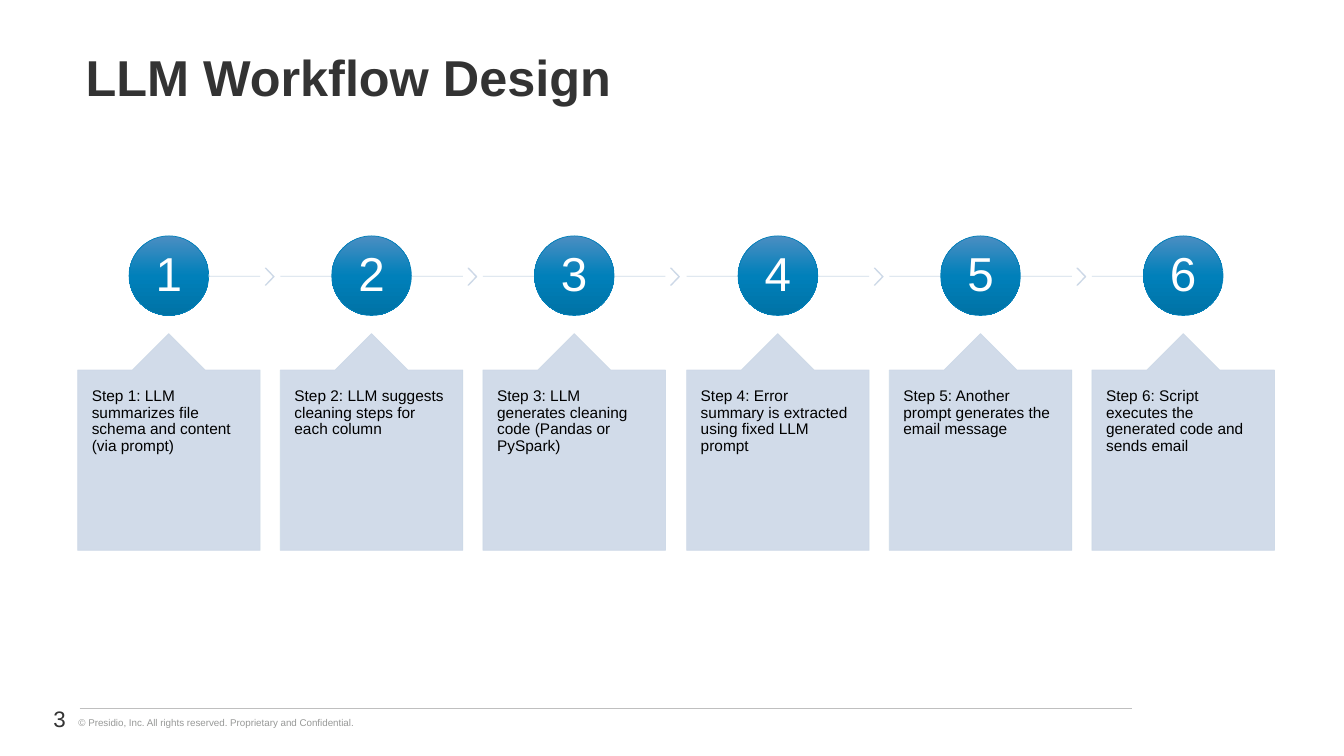
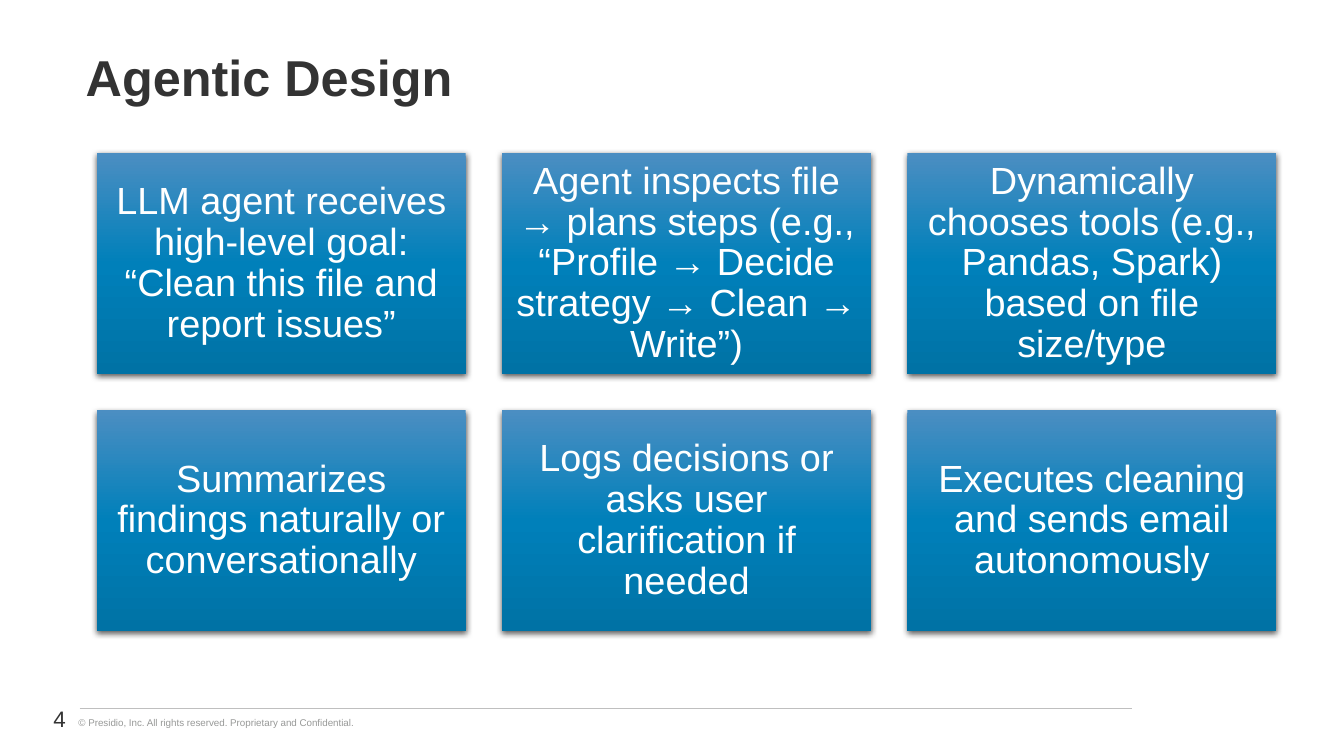
from lxml.etree import SubElement
from pptx import Presentation
from pptx.dml.color import RGBColor
from pptx.enum.shapes import MSO_CONNECTOR, MSO_SHAPE as SHAPE
from pptx.enum.text import MSO_ANCHOR as ANCHOR, PP_ALIGN as ALIGN
from pptx.oxml.ns import qn
from pptx.util import Emu, Pt

PX = 9144  # 100 px to the inch
FONT = "Arial"
DARK, GRAY, RULE = "333333", "989998", "BFBFBF"
WHITE, BLACK = "FFFFFF", "000000"
PALE, BLUE = "CCD8E7", "0080BA"
BLUE_STOPS = [(0, "4B8EC2"), (50, BLUE), (100, "0072A5")]

STEPS = [
    "Step 1: LLM summarizes file schema and content (via prompt)",
    "Step 2: LLM suggests cleaning steps for each column",
    "Step 3: LLM generates cleaning code (Pandas or PySpark)",
    "Step 4: Error summary is extracted using fixed LLM prompt",
    "Step 5: Another prompt generates the email message",
    "Step 6: Script executes the generated code and sends email",
]
CARDS = [
    "LLM agent receives high-level goal: “Clean this file and report issues”",
    "Agent inspects file → plans steps (e.g., “Profile → Decide strategy → Clean → Write”)",
    "Dynamically chooses tools (e.g., Pandas, Spark) based on file size/type",
    "Summarizes findings naturally or conversationally",
    "Logs decisions or asks user clarification if needed",
    "Executes cleaning and sends email autonomously",
]
COPYRIGHT = "© Presidio, Inc. All rights reserved. Proprietary and Confidential."


def px(*lengths):
    return [Emu(round(length) * PX) for length in lengths]


def rgb(color):
    return RGBColor.from_string(color)


def write(shape, text, size, color, align=ALIGN.LEFT, anchor=ANCHOR.TOP,
          insets=(10, 5), spacing=None, bold=False):
    frame = shape.text_frame
    frame.word_wrap = True
    frame.vertical_anchor = anchor
    frame.margin_left = frame.margin_right = px(insets[0])[0]
    frame.margin_top = frame.margin_bottom = px(insets[1])[0]
    paragraph = frame.paragraphs[0]
    paragraph.alignment = align
    if spacing:
        paragraph.line_spacing = spacing
    run = paragraph.add_run()
    run.text = text
    font = run.font
    font.name, font.size, font.bold = FONT, Pt(size), bold
    font.color.rgb = rgb(color)


def set_alpha(shape, percent):
    for color in shape.element.spPr.iter(qn("a:srgbClr")):
        SubElement(color, qn("a:alpha"), val=str(percent * 1000))


def add_preset(slide, kind, box):
    shape = slide.shapes.add_shape(kind, *px(*box))
    shape.shadow.inherit = False
    return shape


def add_pale(slide, kind, box, adjustments):
    shape = add_preset(slide, kind, box)
    for index, value in enumerate(adjustments):
        shape.adjustments[index] = value
    shape.fill.solid()
    shape.fill.fore_color.rgb = rgb(PALE)
    shape.line.color.rgb = rgb(PALE)
    shape.line.width = Pt(0.5)
    set_alpha(shape, 90)
    return shape


def fill_blue(shape):
    shape.fill.gradient()
    shape.fill.gradient_angle = 270
    stops = shape.element.spPr.find(qn("a:gradFill")).find(qn("a:gsLst"))
    for stop in list(stops):
        stops.remove(stop)
    for position, color in BLUE_STOPS:
        stop = SubElement(stops, qn("a:gs"), pos=str(position * 1000))
        SubElement(stop, qn("a:srgbClr"), val=color)


def add_shadow(shape):
    effects = shape.element.spPr.find(qn("a:effectLst"))
    shadow = SubElement(effects, qn("a:outerShdw"), blurRad=str(Pt(4.5)),
                        dist=str(Pt(1.5)), dir="5400000", rotWithShape="0")
    color = SubElement(shadow, qn("a:srgbClr"), val=BLACK)
    SubElement(color, qn("a:alpha"), val="63000")


def add_line(slide, start, end, color, width):
    line = slide.shapes.add_connector(MSO_CONNECTOR.STRAIGHT, *px(*start, *end))
    line.line.color.rgb = rgb(color)
    line.line.width = Pt(width)
    SubElement(line.element.spPr, qn("a:effectLst"))
    return line


def add_footer(slide, box, number):
    left, top, width, height = box
    copyright_box = slide.shapes.add_textbox(*px(left + 68, top + 13, 320, 22))
    write(copyright_box, COPYRIGHT, 7, GRAY)
    add_line(slide, (left + 79, top + 10), (left + width, top + 10), RULE, 0.75)
    number_box = slide.shapes.add_textbox(*px(left, top, 75, height))
    write(number_box, str(number), 16, DARK, ALIGN.RIGHT, ANCHOR.MIDDLE)


def add_titled_slide(presentation, title, number):
    slide = presentation.slides.add_slide(presentation.slide_layouts[5])
    shape = slide.shapes.title
    shape.left, shape.top, shape.width, shape.height = px(75, 26, 1209, 107)
    write(shape, title, 36, DARK, anchor=ANCHOR.MIDDLE, spacing=0.9, bold=True)
    add_footer(slide, (0, 693, 1123, 40), number)
    return slide


def add_step(slide, box, number, text, first, last):
    left, top, width, height = box
    middle = left + width / 2
    circle = 79

    # Rail and arrow to the next step
    rail_y = top + circle / 2
    rail = add_line(slide, (middle if first else left, rail_y),
                    (middle if last else left + width, rail_y), PALE, 0.5)
    set_alpha(rail, 90)
    if not last:
        add_pale(slide, SHAPE.CHEVRON, (left + width + 5, top + 32, 9, 17), [0.9])

    # Numbered circle
    badge = add_preset(slide, SHAPE.OVAL, (middle - circle / 2, top, circle, circle))
    fill_blue(badge)
    badge.line.color.rgb = rgb(BLUE)
    badge.line.width = Pt(0.5)
    write(badge, str(number), 34, WHITE, ALIGN.CENTER, ANCHOR.MIDDLE, (3, 3), 0.9)

    # Description
    callout = add_pale(slide, SHAPE.UP_ARROW_CALLOUT,
                       (left, top + 97, width, height - 97), [0.5, 0.2, 0.2, 1])
    write(callout, text, 11, BLACK, insets=(14, 18), spacing=0.9)


def add_workflow(slide, box, steps):
    left, top, width, height = box
    step_width = 181
    last = len(steps) - 1
    pitch = (width - step_width) / last
    for index, text in enumerate(steps):
        add_step(slide, (left + round(index * pitch), top, step_width, height),
                 index + 1, text, index == 0, index == last)


def add_card_grid(slide, box, cards, columns=3, gap=36):
    left, top, width, height = box
    rows = len(cards) // columns
    card_width = (width - gap * (columns - 1)) / columns
    card_height = (height - gap * (rows - 1)) / rows
    for index, text in enumerate(cards):
        row, column = divmod(index, columns)
        card = add_preset(slide, SHAPE.RECTANGLE,
                          (left + column * (card_width + gap),
                           top + row * (card_height + gap), card_width, card_height))
        fill_blue(card)
        card.line.fill.background()
        add_shadow(card)
        write(card, text, 27, WHITE, ALIGN.CENTER, ANCHOR.MIDDLE, (11, 11), 0.9)


def main():
    presentation = Presentation()
    presentation.slide_width, presentation.slide_height = px(1333, 750)

    workflow_slide = add_titled_slide(presentation, "LLM Workflow Design", 3)
    add_workflow(workflow_slide, (77, 234, 1187, 312), STEPS)

    agent_slide = add_titled_slide(presentation, "Agentic Design", 4)
    add_card_grid(agent_slide, (96, 152, 1170, 474), CARDS)

    presentation.save("out.pptx")


if __name__ == "__main__":
    main()
